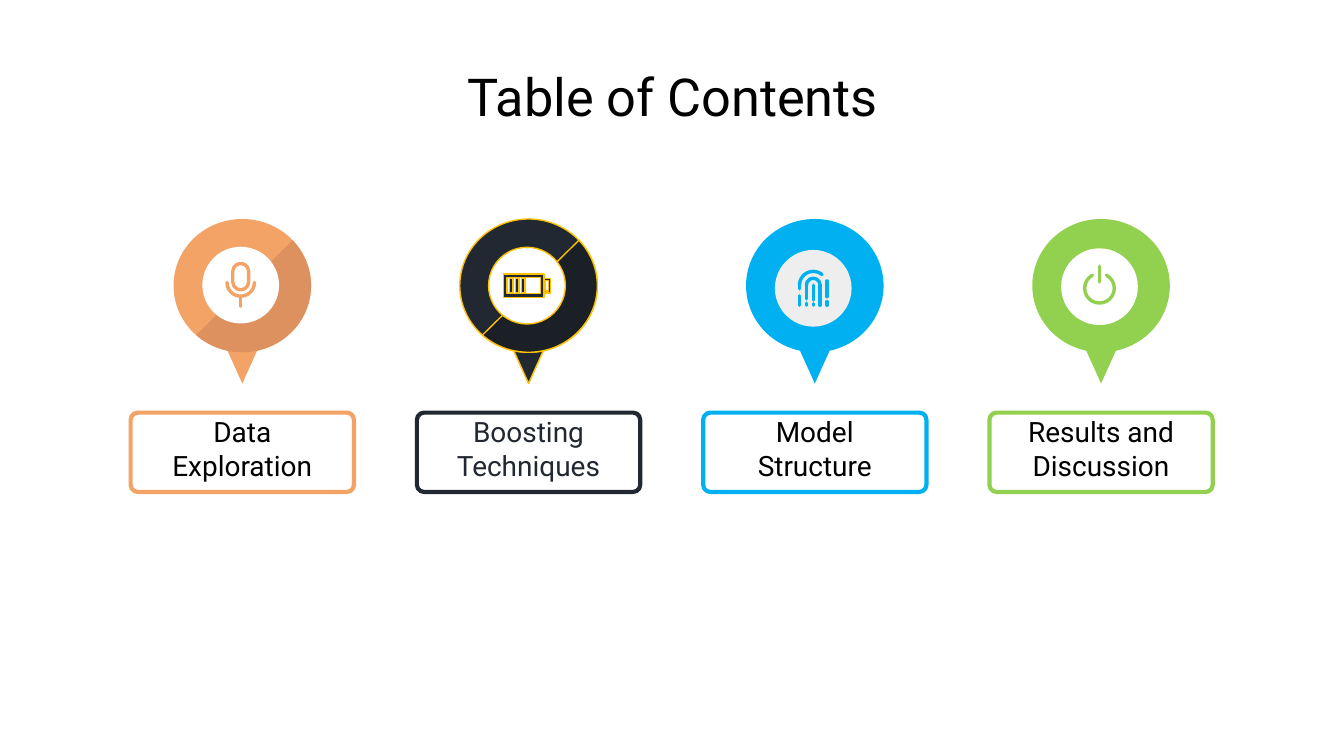
from lxml.etree import SubElement
from pptx import Presentation
from pptx.dml.color import RGBColor
from pptx.enum.shapes import MSO_CONNECTOR, MSO_SHAPE
from pptx.enum.text import MSO_ANCHOR, MSO_AUTO_SIZE, PP_ALIGN
from pptx.oxml.ns import qn
from pptx.util import Cm, Pt

ORANGE, DARK, BLUE, GREEN = "F2A365", "222831", "00B0F0", "92D050"
BLACK, WHITE, GOLD = "000000", "FFFFFF", "FFC000"


def rgb(value):
    """Turn a hex string into a colour."""
    return RGBColor.from_string(value)


def angles(start, end):
    """Express two angles in degrees as shape adjustments."""
    return [start * 0.6, end * 0.6]


class Deck:
    """Hold the style and the current slide, and draw its elements."""

    font = "Roboto"
    stroke = 1.8
    frame = {"word_wrap": True, "auto_size": MSO_AUTO_SIZE.NONE,
             "vertical_anchor": MSO_ANCHOR.MIDDLE,
             "margin_left": Cm(0.25), "margin_right": Cm(0.25), "margin_top": 0}

    def __init__(self, prs):
        """Start a title-only slide."""
        self.s = prs.slides.add_slide(prs.slide_layouts[5])

    def text(self, sp, words, size, color, bottom=0):
        """Write centred text into a shape."""
        tf = sp.text_frame
        for name, value in {**self.frame, "margin_bottom": Cm(bottom)}.items():
            setattr(tf, name, value)
        p = tf.paragraphs[0]
        p.alignment = PP_ALIGN.CENTER
        r = p.add_run()
        r.text = words
        for name, value in {"name": self.font, "size": Pt(size)}.items():
            setattr(r.font, name, value)
        r.font.color.rgb = rgb(color)

    def title(self, words, x, y, w, h):
        """Place and fill the title placeholder."""
        sp = self.s.shapes.title
        for name, value in zip(("left", "top", "width", "height"), (x, y, w, h)):
            setattr(sp, name, Cm(value))
        self.text(sp, words, 28, BLACK)

    def shape(self, kind, x, y, w, h, fill=None, line=None, width=0.75, adj=()):
        """Draw a preset shape centred on a point."""
        sp = self.s.shapes.add_shape(kind, Cm(x - w / 2), Cm(y - h / 2), Cm(w), Cm(h))
        sp.shadow.inherit = False
        for i, value in enumerate(adj):
            sp.adjustments[i] = value
        if fill:
            sp.fill.solid()
            sp.fill.fore_color.rgb = rgb(fill)
        else:
            sp.fill.background()
        if line:
            sp.line.color.rgb = rgb(line)
            sp.line.width = Pt(width)
        else:
            sp.line.fill.background()
        return sp

    def round_ends(self, sp):
        """Give a stroke round ends."""
        sp._element.spPr.find(qn("a:ln")).set("cap", "rnd")

    def arc(self, x, y, size, start, end, color):
        """Draw a round-ended arc centred on a point."""
        self.round_ends(self.shape(MSO_SHAPE.ARC, x, y, size, size, line=color,
                                   width=self.stroke, adj=angles(start, end)))

    def bar(self, x, top, bottom, color):
        """Draw a vertical round-ended line."""
        sp = self.s.shapes.add_connector(MSO_CONNECTOR.STRAIGHT,
                                         Cm(x), Cm(top), Cm(x), Cm(bottom))
        sp.line.color.rgb = rgb(color)
        sp.line.width = Pt(self.stroke)
        SubElement(sp._element.spPr, qn("a:effectLst"))
        self.round_ends(sp)

    def label(self, words, x, color, text_color):
        """Draw a framed label."""
        sp = self.shape(MSO_SHAPE.ROUNDED_RECTANGLE, x, 8.55, 4.22, 1.5,
                        line=color, width=2.25, adj=[0.09])
        self.text(sp, words, 15, text_color, bottom=0.15)

    def pin(self, x, hole_y, color, shade, hole, line):
        """Draw a map pin with a shaded half and a round hole."""
        self.shape(MSO_SHAPE.FLOWCHART_MERGE, x, 6.84, 0.74, 0.82, color, line)
        self.shape(MSO_SHAPE.OVAL, x, 5.4, 2.6, 2.52, color, line)
        if shade:
            self.shape(MSO_SHAPE.CHORD, x, 5.4, 2.6, 2.52, shade, line,
                       adj=angles(318, 133))
        self.shape(MSO_SHAPE.OVAL, x - 0.03, hole_y, 1.45, 1.45, hole, line)


def microphone(deck, x, y, color):
    """Draw a microphone."""
    deck.shape(MSO_SHAPE.ROUNDED_RECTANGLE, x, y - 0.16, 0.3, 0.5,
               line=color, width=deck.stroke, adj=[0.5])
    deck.arc(x, y - 0.05, 0.52, 0, 180, color)
    deck.bar(x, y + 0.21, y + 0.4, color)


def battery(deck, x, y, color):
    """Draw a battery with three charge bars."""
    deck.shape(MSO_SHAPE.FRAME, x + 0.38, y, 0.13, 0.28, color, GOLD, adj=[0.3])
    deck.shape(MSO_SHAPE.FRAME, x - 0.06, y, 0.76, 0.44, color, GOLD, adj=[0.15])
    for i in range(3):
        deck.shape(MSO_SHAPE.RECTANGLE, x - 0.3 + i * 0.115, y, 0.07, 0.28, color, GOLD)


def fingerprint(deck, x, y, color):
    """Draw a fingerprint of two arches and broken ridges."""
    deck.arc(x, y - 0.06, 0.52, 180, 310, color)
    deck.arc(x, y - 0.06, 0.26, 180, 0, color)
    ridges = [(-0.26, -0.06, 0.01), (-0.26, 0.14, 0.32), (-0.13, -0.06, 0.2),
              (-0.13, 0.28, 0.32), (0, -0.06, 0.22), (0, 0.29, 0.32),
              (0.13, -0.06, 0.32), (0.26, -0.14, 0.16), (0.26, 0.25, 0.32)]
    for dx, top, bottom in ridges:
        deck.bar(x + dx, y + top, y + bottom, color)


def power(deck, x, y, color):
    """Draw a power symbol."""
    deck.arc(x, y + 0.03, 0.56, 298, 242, color)
    deck.bar(x, y - 0.39, y - 0.09, color)


def main():
    """Build the contents slide."""
    prs = Presentation()
    prs.slide_width, prs.slide_height = Cm(25.4), Cm(14.29)
    deck = Deck(prs)
    deck.title("Table of Contents", 1.98, 1.14, 21.46, 1.35)
    topics = [
        ("Data Exploration", ORANGE, "DD915E", WHITE, None, BLACK, 5.39, microphone),
        ("Boosting Techniques", DARK, "1B1F26", WHITE, GOLD, DARK, 5.4, battery),
        ("Model Structure", BLUE, None, "EEEEEE", None, BLACK, 5.45, fingerprint),
        ("Results and Discussion", GREEN, None, WHITE, None, BLACK, 5.42, power),
    ]
    for i, (words, color, shade, hole, line, text_color, y, icon) in enumerate(topics):
        x = 4.58 + i * 5.41
        deck.label(words, x, color, text_color)
        deck.pin(x, y, color, shade, hole, line)
        icon(deck, x - 0.03, y, color)
    prs.save("out.pptx")


if __name__ == "__main__":
    main()
